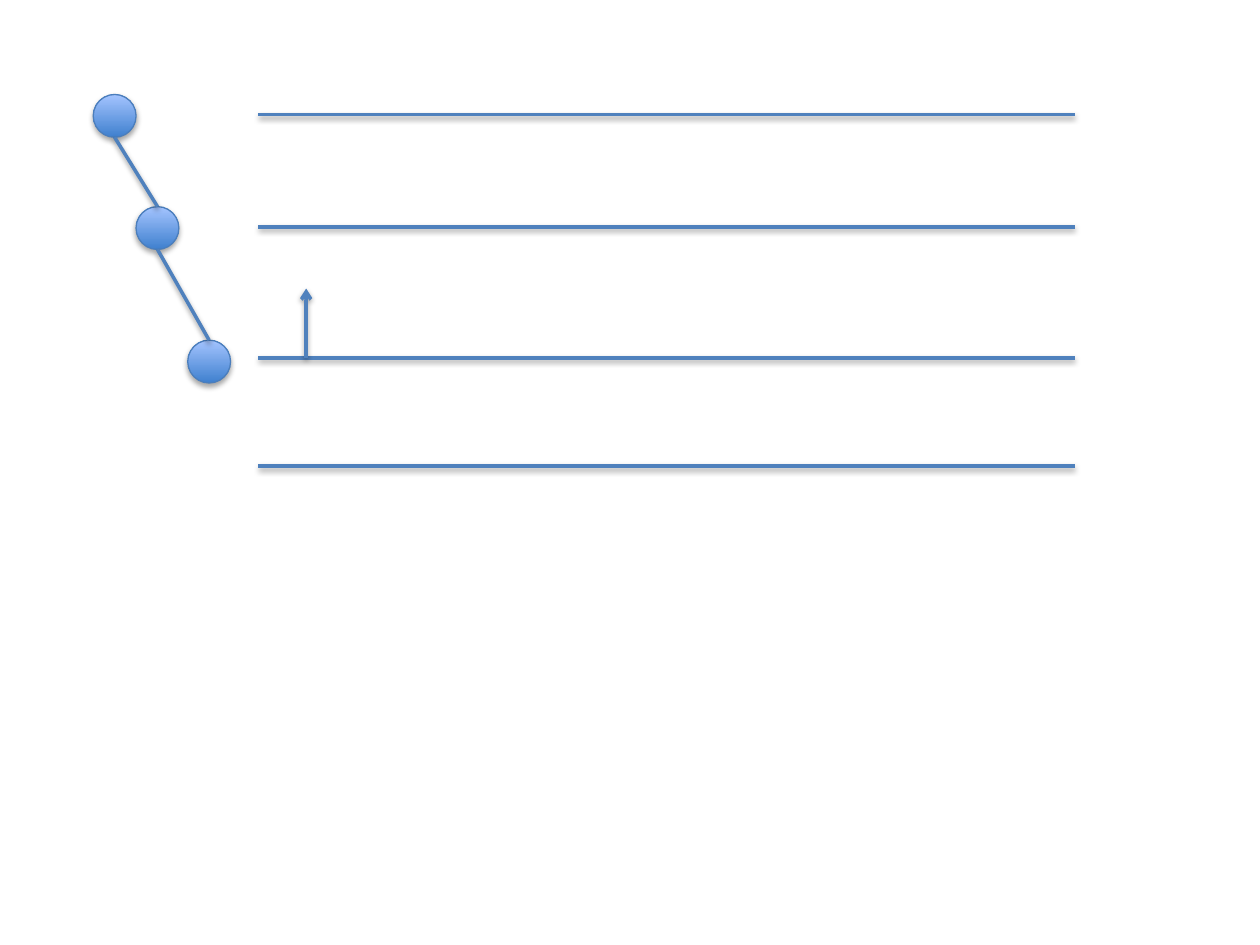
from pptx import Presentation
from pptx.dml.color import RGBColor
from pptx.enum.shapes import MSO_CONNECTOR as Conn, MSO_SHAPE as Shape
from pptx.oxml import parse_xml
from pptx.oxml.ns import nsdecls
from pptx.util import Inches, Pt

SIZE = 0.34
NODES = [(0.74, 0.75), (1.08, 1.64), (1.49, 2.7)]
ROWS = [0.91, 1.8, 2.84, 3.7]
LEFT, RIGHT = 2.05, 8.53
ARROW_X, ARROW_TOP = 2.43, 2.29


def finish(item, color, width, alpha, dist):
    """Set the outline of a shape or connector and give it a soft shadow."""
    item.line.color.rgb = RGBColor.from_string(color)
    item.line.width = Pt(width)
    item._element.spPr.append(parse_xml(
        f'<a:effectLst {nsdecls("a")}><a:outerShdw blurRad="{Pt(3.1)}" '
        f'dist="{Pt(dist)}" dir="5400000" rotWithShape="0">'
        f'<a:srgbClr val="000000"><a:alpha val="{alpha * 1000}"/></a:srgbClr>'
        '</a:outerShdw></a:effectLst>'))


def add_line(x1, y1, x2, y2):
    """Draw a blue line between two points and return it."""
    line = slide.shapes.add_connector(
        Conn.STRAIGHT, Inches(x1), Inches(y1), Inches(x2), Inches(y2))
    finish(line, "4F81BD", 2, 38, 1.6)
    return line


deck = Presentation()
deck.slide_width, deck.slide_height = Inches(10), Inches(7.5)
slide = deck.slides.add_slide(deck.slide_layouts[6])

for x, y in NODES:
    node = slide.shapes.add_shape(
        Shape.OVAL, Inches(x), Inches(y), Inches(SIZE), Inches(SIZE))
    node.fill.gradient()
    node.fill.gradient_angle = 90
    for stop, color in zip(node.fill.gradient_stops, ("3F80CE", "A4C4FF")):
        stop.color.rgb = RGBColor.from_string(color)
    finish(node, "4B7EBC", 0.75, 35, 1.8)

# Each link runs from the bottom of one node to the top of the next.
for (x1, y1), (x2, y2) in zip(NODES, NODES[1:]):
    add_line(x1 + SIZE / 2, y1 + SIZE, x2 + SIZE / 2, y2)

for y in ROWS:
    add_line(LEFT, y, RIGHT, y)

arrow = add_line(ARROW_X, ROWS[2], ARROW_X, ARROW_TOP)
arrow.line._get_or_add_ln().append(
    parse_xml(f'<a:tailEnd {nsdecls("a")} type="arrow"/>'))

deck.save("out.pptx")
